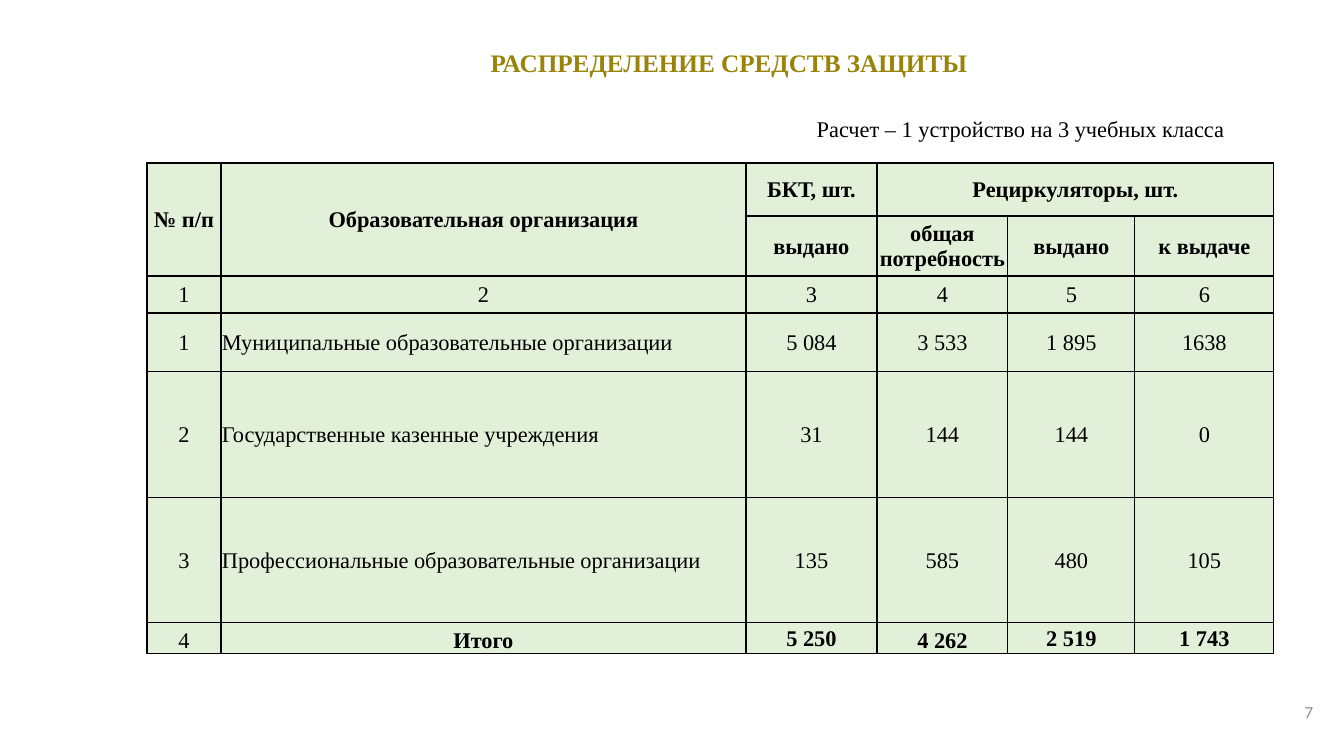
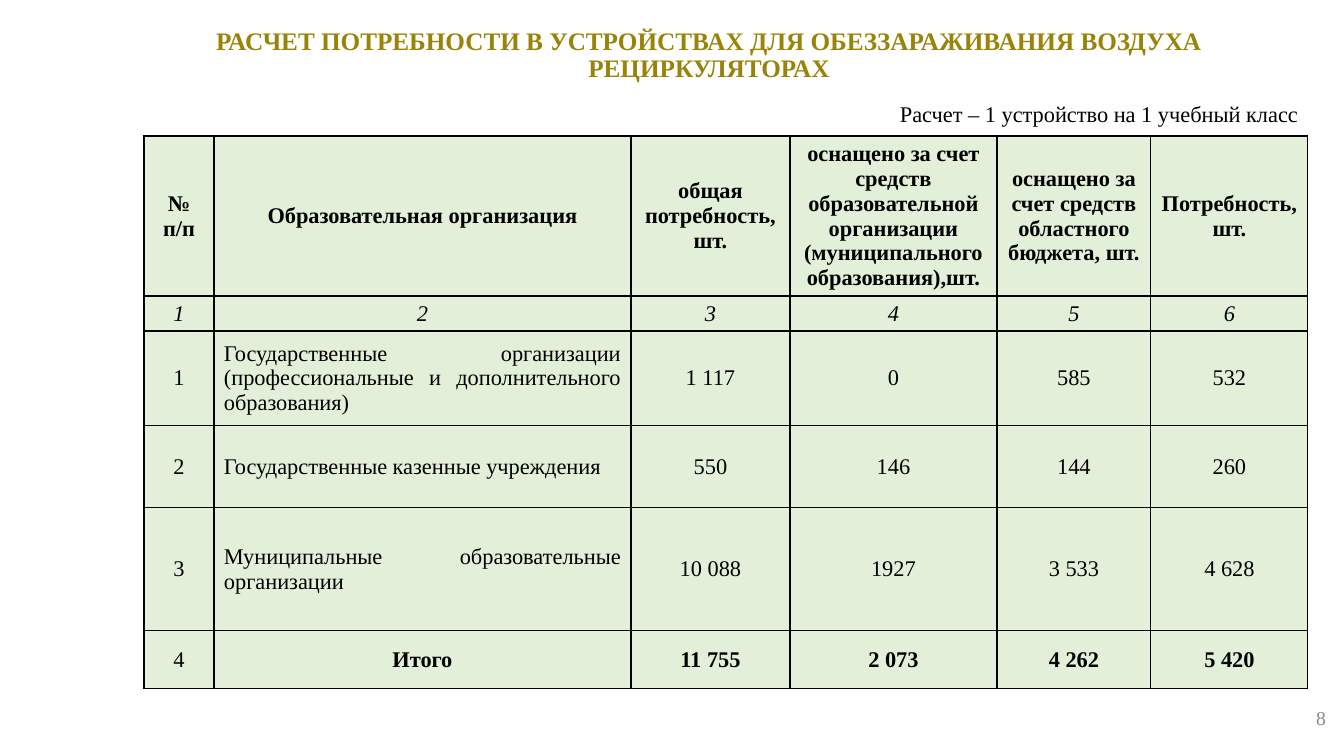
"""Build two slides with tables on the distribution of and need for air recirculators."""
from lxml.etree import SubElement
from pptx import Presentation
from pptx.dml.color import RGBColor
from pptx.enum.text import MSO_ANCHOR, MSO_AUTO_SIZE, PP_ALIGN
from pptx.oxml.ns import qn
from pptx.util import Emu, Pt

GOLD = RGBColor(0x99, 0x83, 0x08)
BLACK = RGBColor(0x00, 0x00, 0x00)
GREY = RGBColor(0x8C, 0x8C, 0x8C)
PALE_GREEN = RGBColor(0xE2, 0xF0, 0xD9)
SERIF = "Times New Roman"
SANS = "Calibri"
TITLE_ONLY = 5
NAME_COLUMN = 1
COLUMN_NUMBERS = ["1", "2", "3", "4", "5", "6"]

SLIDES = [
    {
        "title": ("РАСПРЕДЕЛЕНИЕ СРЕДСТВ ЗАЩИТЫ", (206, 40, 1046, 48)),
        "note": ("Расчет – 1 устройство на 3 учебных класса", (804, 110, 433, 37)),
        "page": ("7", (1021, 692, 302, 40), 12, SANS),
        "table_at": (147, 163),
        "columns": [74, 525, 131, 131, 127, 139],
        "heights": [53, 60, 37, 59, 126, 125, 31],
        "margins": (1, 1, 1, 0),
        "name_alignment": PP_ALIGN.LEFT,
        "numbers_italic": False,
        "header": [
            ["№ п/п", "Образовательная организация", "БКТ, шт.", "Рециркуляторы, шт.", "", ""],
            ["", "", "выдано", "общая потребность", "выдано", "к выдаче"],
        ],
        "merges": [((0, 0), (1, 0)), ((0, 1), (1, 1)), ((0, 3), (0, 5))],
        "body": [
            ["1", "Муниципальные образовательные организации", "5 084", "3 533", "1 895", "1638"],
            ["2", "Государственные казенные учреждения", "31", "144", "144", "0"],
            ["3", "Профессиональные образовательные организации", "135", "585", "480", "105"],
        ],
        "total": ["4", "Итого", "5 250", "4 262", "2 519", "1 743"],
        "low_totals": [0, 1, 3],
    },
    {
        "title": (
            "РАСЧЕТ ПОТРЕБНОСТИ В УСТРОЙСТВАХ ДЛЯ ОБЕЗЗАРАЖИВАНИЯ ВОЗДУХА РЕЦИРКУЛЯТОРАХ",
            (144, 20, 1130, 72),
        ),
        "note": ("Расчет – 1 устройство на 1 учебный класс", (859, 99, 480, 29)),
        "page": ("8", (1159, 703, 177, 30), 14, SERIF),
        "table_at": (144, 136),
        "columns": [70, 417, 159, 207, 154, 157],
        "heights": [160, 35, 95, 82, 123, 58],
        "margins": (10, 5, 10, 5),
        "name_alignment": PP_ALIGN.JUSTIFY,
        "numbers_italic": True,
        "header": [
            [
                "№ п/п",
                "Образовательная организация",
                "общая потребность, шт.",
                "оснащено за счет средств образовательной организации "
                "(муниципального образования),шт.",
                "оснащено за счет средств областного бюджета, шт.",
                "Потребность, шт.",
            ],
        ],
        "merges": [],
        "body": [
            [
                "1",
                "Государственные организации (профессиональные и дополнительного образования)",
                "1 117", "0", "585", "532",
            ],
            ["2", "Государственные казенные учреждения", "550", "146", "144", "260"],
            ["3", "Муниципальные образовательные организации", "10 088", "1927", "3 533", "4 628"],
        ],
        "total": ["4", "Итого", "11 755", "2 073", "4 262", "5 420"],
        "low_totals": [],
    },
]


def px(length):
    return Emu(round(length * 9144000 / 1008))


def style_paragraph(para, size, color, alignment, name=SERIF, bold=False, italic=False):
    para.alignment = alignment
    font = para.font
    font.name, font.size, font.bold, font.italic = name, Pt(size), bold, italic
    font.color.rgb = color


def add_label(slide, text, place, size, color, alignment, name=SERIF):
    box = slide.shapes.add_textbox(*map(px, place))
    frame = box.text_frame
    frame.word_wrap = True
    frame.vertical_anchor = MSO_ANCHOR.MIDDLE
    frame.text = text
    style_paragraph(frame.paragraphs[0], size, color, alignment, name)


def set_title(slide, text, place):
    title = slide.shapes.title
    title.left, title.top, title.width, title.height = map(px, place)
    frame = title.text_frame
    frame.text = text
    frame.word_wrap = True
    frame.auto_size = MSO_AUTO_SIZE.NONE
    frame.vertical_anchor = MSO_ANCHOR.MIDDLE
    para = frame.paragraphs[0]
    para.line_spacing = 0.9
    style_paragraph(para, 18, GOLD, PP_ALIGN.CENTER, bold=True)


def draw_borders(cell):
    properties = cell._tc.get_or_add_tcPr()
    for side in ("a:lnL", "a:lnR", "a:lnT", "a:lnB"):
        line = SubElement(properties, qn(side), w=str(Pt(1)))
        fill = SubElement(line, qn("a:solidFill"))
        SubElement(fill, qn("a:srgbClr"), val=str(BLACK))


def add_grid(slide, content):
    rows = [*content["header"], COLUMN_NUMBERS, *content["body"], content["total"]]
    number_row = len(content["header"])
    total_row = len(rows) - 1
    columns, heights = content["columns"], content["heights"]
    place = (*content["table_at"], sum(columns), sum(heights))
    table = slide.shapes.add_table(len(rows), len(columns), *map(px, place)).table
    table.first_row = table.horz_banding = False
    for column, width in zip(table.columns, columns):
        column.width = px(width)
    for row, height in zip(table.rows, heights):
        row.height = px(height)
    for start, end in content["merges"]:
        table.cell(*start).merge(table.cell(*end))
    for i, texts in enumerate(rows):
        for j, text in enumerate(texts):
            cell = table.cell(i, j)
            draw_borders(cell)
            cell.fill.solid()
            cell.fill.fore_color.rgb = PALE_GREEN
            cell.margin_left, cell.margin_top, cell.margin_right, cell.margin_bottom = map(
                px, content["margins"])
            low = i == total_row and j in content["low_totals"]
            cell.vertical_anchor = MSO_ANCHOR.BOTTOM if low else MSO_ANCHOR.MIDDLE
            cell.text = text
            is_name = j == NAME_COLUMN and number_row < i < total_row
            style_paragraph(
                cell.text_frame.paragraphs[0], 16, BLACK,
                content["name_alignment"] if is_name else PP_ALIGN.CENTER,
                bold=i < number_row or (i == total_row and j > 0),
                italic=i == number_row and content["numbers_italic"],
            )


def main():
    deck = Presentation()
    deck.slide_width, deck.slide_height = px(1344), px(756)
    for content in SLIDES:
        slide = deck.slides.add_slide(deck.slide_layouts[TITLE_ONLY])
        set_title(slide, *content["title"])
        add_grid(slide, content)
        add_label(slide, *content["note"], 16, BLACK, PP_ALIGN.CENTER)
        number, place, size, name = content["page"]
        add_label(slide, number, place, size, GREY, PP_ALIGN.RIGHT, name)
    deck.save("out.pptx")


if __name__ == "__main__":
    main()
